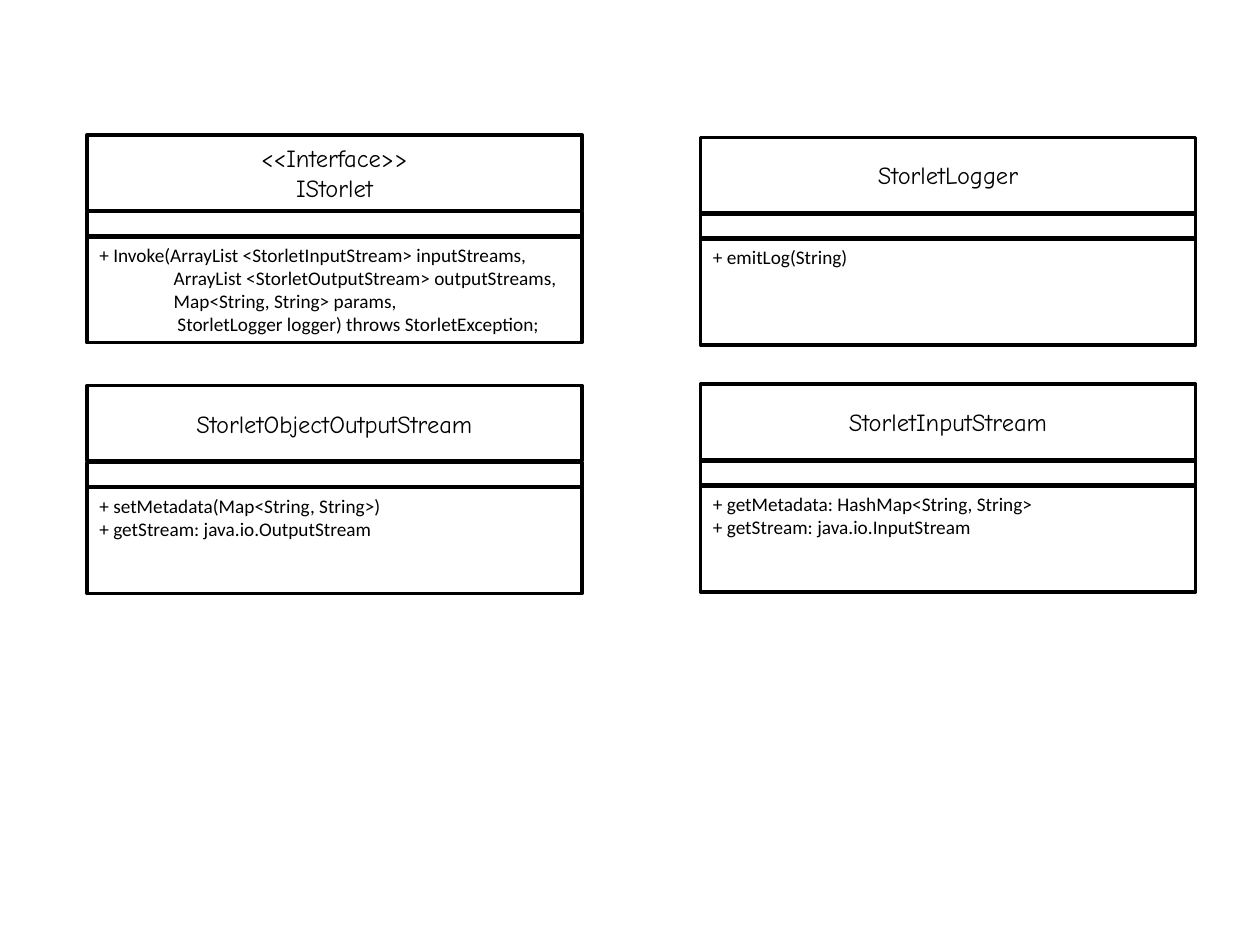
"""Draw a UML class diagram of the storlet interfaces on one slide."""
from dataclasses import dataclass

import pptx
import pptx.dml.color
import pptx.enum.shapes
import pptx.enum.text
import pptx.oxml
import pptx.oxml.ns
import pptx.util
from lxml import etree
from pptx.shapes.autoshape import Shape
from pptx.slide import Slide

SLIDE_WIDTH = pptx.util.Inches(10)
SLIDE_HEIGHT = pptx.util.Inches(7.5)
GRID_COLUMNS, GRID_ROWS = 1000, 750
LEFT_COLUMN, RIGHT_COLUMN = 69, 556
CLASS_COLUMNS = 393
NAME_ROWS, ATTRIBUTE_ROWS, METHOD_ROWS = 60, 19, 84
ATTRIBUTE_OFFSET, METHOD_OFFSET = 61, 81


@dataclass(frozen=True)
class Theme:
    ink: pptx.dml.color.RGBColor = pptx.dml.color.RGBColor(0, 0, 0)
    paper: pptx.dml.color.RGBColor = pptx.dml.color.RGBColor(255, 255, 255)
    name_font: str = "Comic Neue"
    method_font: str = "Calibri"
    name_size: float = 14
    method_size: float = 11
    border: float = 2
    name_outline: float = 0.75


@dataclass(frozen=True)
class Method:
    text: str
    indent: float = 0


@dataclass(frozen=True)
class UmlClass:
    column: int
    row: int
    name: str
    methods: tuple[Method, ...]


THEME = Theme()
CLASSES = (
    UmlClass(LEFT_COLUMN, 107, "<<Interface>>\nIStorlet", (
        Method("+ Invoke(ArrayList <StorletInputStream> inputStreams,"),
        Method("ArrayList <StorletOutputStream> outputStreams,", 0.59),
        Method("Map<String, String> params,", 0.59),
        Method("StorletLogger logger) throws StorletException;", 0.62),
    )),
    UmlClass(RIGHT_COLUMN, 109, "StorletLogger", (Method("+ emitLog(String)"),)),
    UmlClass(RIGHT_COLUMN, 305, "StorletInputStream", (
        Method("+ getMetadata: HashMap<String, String>"),
        Method("+ getStream: java.io.InputStream"),
    )),
    UmlClass(LEFT_COLUMN, 306, "StorletObjectOutputStream", (
        Method("+ setMetadata(Map<String, String>)"),
        Method("+ getStream: java.io.OutputStream"),
    )),
)


def add_compartment(slide: Slide, column: int, row: int, rows: int) -> Shape:
    """Add one bordered compartment placed on the slide grid."""
    compartment = slide.shapes.add_shape(
        pptx.enum.shapes.MSO_SHAPE.RECTANGLE,
        SLIDE_WIDTH * column // GRID_COLUMNS,
        SLIDE_HEIGHT * row // GRID_ROWS,
        SLIDE_WIDTH * CLASS_COLUMNS // GRID_COLUMNS,
        SLIDE_HEIGHT * rows // GRID_ROWS,
    )
    compartment.shadow.inherit = False
    compartment.fill.solid()
    compartment.fill.fore_color.rgb = THEME.paper
    compartment.line.color.rgb = THEME.ink
    compartment.line.width = pptx.util.Pt(THEME.border)
    return compartment


def format_text(compartment: Shape, font: str, size: float,
                align: pptx.enum.text.PP_ALIGN,
                anchor: pptx.enum.text.MSO_ANCHOR) -> None:
    """Apply one font and alignment to all text in a compartment."""
    frame = compartment.text_frame
    frame.word_wrap = True
    frame.vertical_anchor = anchor
    for paragraph in frame.paragraphs:
        paragraph.alignment = align
        for run in paragraph.runs:
            run.font.name = font
            run.font.size = pptx.util.Pt(size)
            run.font.color.rgb = THEME.ink


def outline_text(compartment: Shape) -> None:
    """Outline every letter in a compartment."""
    qn = pptx.oxml.ns.qn
    for paragraph in compartment.text_frame.paragraphs:
        for run in paragraph.runs:
            outline = etree.Element(
                qn("a:ln"), w=str(int(pptx.util.Pt(THEME.name_outline))))
            fill = etree.SubElement(outline, qn("a:solidFill"))
            etree.SubElement(fill, qn("a:srgbClr"), val=str(THEME.ink))
            run.font._element.insert(0, outline)


def draw_class(slide: Slide, uml: UmlClass) -> None:
    """Draw the name, method and attribute compartments of a class."""
    align, anchor = pptx.enum.text.PP_ALIGN, pptx.enum.text.MSO_ANCHOR
    name = add_compartment(slide, uml.column, uml.row, NAME_ROWS)
    name.text_frame.text = uml.name
    format_text(name, THEME.name_font, THEME.name_size, align.CENTER, anchor.MIDDLE)
    outline_text(name)

    methods = add_compartment(slide, uml.column, uml.row + METHOD_OFFSET, METHOD_ROWS)
    methods.text_frame.text = "\n".join(method.text for method in uml.methods)
    format_text(methods, THEME.method_font, THEME.method_size, align.LEFT, anchor.TOP)
    for paragraph, method in zip(methods.text_frame.paragraphs, uml.methods):
        if method.indent:
            properties = paragraph._p.get_or_add_pPr()
            properties.set("marL", str(int(pptx.util.Inches(method.indent))))
            properties.set("indent", "0")

    add_compartment(slide, uml.column, uml.row + ATTRIBUTE_OFFSET, ATTRIBUTE_ROWS)


def main() -> None:
    """Build and save the class diagram."""
    deck = pptx.Presentation()
    deck.slide_width, deck.slide_height = SLIDE_WIDTH, SLIDE_HEIGHT
    slide = deck.slides.add_slide(deck.slide_layouts[6])
    for uml in CLASSES:
        draw_class(slide, uml)
    deck.save("out.pptx")


if __name__ == "__main__":
    main()
